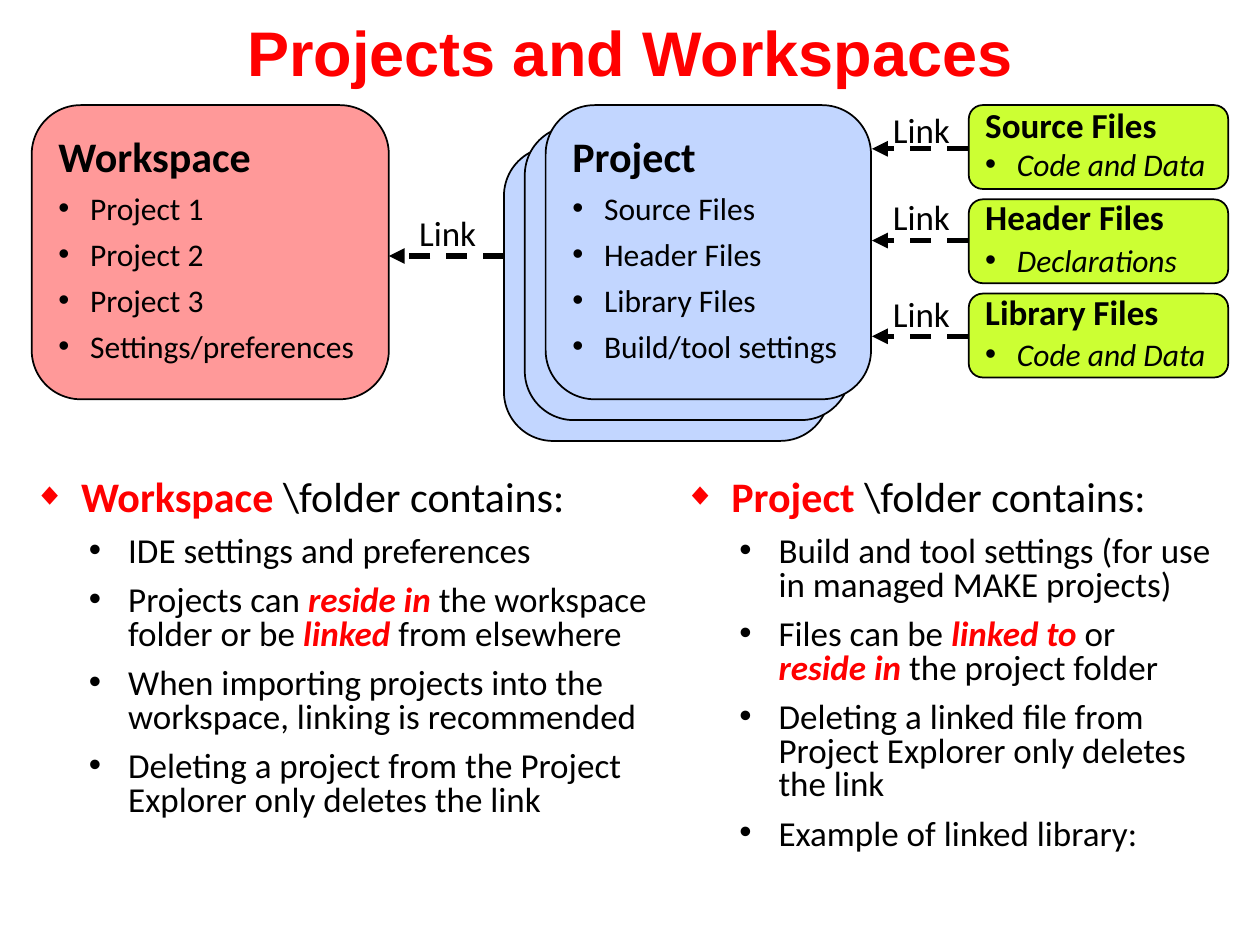
"""Build the slide on how projects and workspaces link to their files."""
from dataclasses import dataclass

from lxml.etree import SubElement
from pptx import Presentation
from pptx.dml.color import RGBColor
from pptx.enum.dml import MSO_LINE
from pptx.enum.shapes import MSO_CONNECTOR, MSO_SHAPE
from pptx.enum.text import MSO_ANCHOR, MSO_AUTO_SIZE, PP_ALIGN
from pptx.oxml.ns import qn
from pptx.util import Cm, Pt


@dataclass(frozen=True)
class Theme:
    accent: str = "FF0000"
    ink: str = "000000"
    workspace: str = "FF9999"
    project: str = "C2D6FF"
    files: str = "CCFF33"
    title_font: str = "Arial"
    body_font: str = "Calibri"
    title: int = 36
    heading: int = 24
    body: int = 20
    item: int = 18


theme = Theme()


def write(frame, text, *, size, font=theme.body_font, colour=theme.ink, bold=False,
          italic=False, strong_italic=False, bullet=None, bullet_colour=theme.ink,
          bullet_scale=100, margin=0.0, hanging=0.0, before=0, spacing=0.8,
          align=PP_ALIGN.LEFT):
    """Add a paragraph, with the parts between asterisks in the accent colour."""
    first = not frame.paragraphs[0].runs
    paragraph = frame.paragraphs[0] if first else frame.add_paragraph()
    properties = paragraph._p.get_or_add_pPr()
    properties.set("marL", str(Cm(margin)))
    properties.set("indent", str(-Cm(hanging)))
    if bullet:
        tint = SubElement(properties, qn("a:buClr"))
        SubElement(tint, qn("a:srgbClr"), val=bullet_colour)
        SubElement(properties, qn("a:buSzPct"), val=str(bullet_scale * 1000))
        SubElement(properties, qn("a:buFont"), typeface="Arial")
        SubElement(properties, qn("a:buChar"), char=bullet)
    else:
        SubElement(properties, qn("a:buNone"))
    paragraph.alignment = align
    paragraph.line_spacing = spacing
    paragraph.space_before = Pt(0 if first else before)
    for part, words in enumerate(text.split("*")):
        strong = part % 2 == 1
        for row, line in enumerate(words.split("\n")):
            if row:
                paragraph.add_line_break()
            if not line:
                continue
            run = paragraph.add_run()
            run.text = line
            run.font.name = font
            run.font.size = Pt(size)
            run.font.bold = bold or strong
            run.font.italic = italic or (strong and strong_italic)
            run.font.color.rgb = RGBColor.from_string(theme.accent if strong else colour)


presentation = Presentation()
presentation.slide_width, presentation.slide_height = Cm(25.4), Cm(19.05)
slide = presentation.slides.add_slide(presentation.slide_layouts[3])
title, workspace_list, project_list = slide.placeholders

title.left, title.top, title.width, title.height = Cm(0), Cm(0), Cm(25.4), Cm(2.06)
title.text_frame.auto_size = MSO_AUTO_SIZE.NONE
write(title.text_frame, "Projects and Workspaces", size=theme.title, font=theme.title_font,
      colour=theme.accent, bold=True, spacing=1.0, align=PP_ALIGN.CENTER)

lists = [
    (workspace_list, 0.43, 13.23, 7.14, "*Workspace* \\folder contains:", [
        "IDE settings and preferences",
        "Projects can *reside in* the workspace folder or be *linked* from elsewhere",
        "When importing projects into the workspace, linking is recommended",
        "Deleting a project from the Project Explorer only deletes the link",
    ]),
    (project_list, 13.54, 11.43, 7.82, "*Project* \\folder contains:", [
        "Build and tool settings (for use\nin managed MAKE projects)",
        "Files can be *linked to* or \n*reside in* the project folder",
        "Deleting a linked file from Project Explorer only deletes the link",
        "Example of linked library:",
    ]),
]
for placeholder, left, width, height, heading, items in lists:
    placeholder.left, placeholder.top = Cm(left), Cm(9.53)
    placeholder.width, placeholder.height = Cm(width), Cm(height)
    frame = placeholder.text_frame
    frame.auto_size = MSO_AUTO_SIZE.NONE
    frame.vertical_anchor = MSO_ANCHOR.MIDDLE
    write(frame, heading, size=theme.heading, bullet="◆", bullet_colour=theme.accent,
          bullet_scale=75, margin=0.95, hanging=0.95)
    for item in items:
        write(frame, item, size=theme.body, strong_italic=True, bullet="•",
              margin=1.9, hanging=0.79, before=9)

card_top, card_height, stack_step, file_step = 2.12, 5.93, 0.42, 1.9
cards = [(0.64, card_top, 7.2, card_height, theme.workspace, "Workspace",
          ["Project 1", "Project 2", "Project 3", "Settings/preferences"], 9)]
for depth in (2, 1):
    cards.append((11 - depth * stack_step, card_top + depth * stack_step, 6.56, card_height,
                  theme.project, "", [], 0))
cards.append((11, card_top, 6.56, card_height, theme.project, "Project",
              ["Source Files", "Header Files", "Library Files", "Build/tool settings"], 9))
file_kinds = [("Source Files", "Code and Data", 4), ("Header Files", "Declarations", 6),
              ("Library Files", "Code and Data", 6)]
for row, (heading, content, before) in enumerate(file_kinds):
    cards.append((19.53, card_top + row * file_step, 5.23, 1.69, theme.files, heading,
                  [content], before))

for left, top, width, height, fill, heading, items, before in cards:
    card = slide.shapes.add_shape(MSO_SHAPE.ROUNDED_RECTANGLE, Cm(left), Cm(top),
                                  Cm(width), Cm(height))
    card.shadow.inherit = False
    card.fill.solid()
    card.fill.fore_color.rgb = RGBColor.from_string(fill)
    card.line.color.rgb = RGBColor.from_string(theme.ink)
    card.line.width = Pt(1)
    if not heading:
        continue
    is_file = fill == theme.files
    frame = card.text_frame
    frame.word_wrap = True
    frame.vertical_anchor = MSO_ANCHOR.MIDDLE
    write(frame, heading, size=theme.body if is_file else theme.heading, bold=True)
    for item in items:
        write(frame, item, size=theme.item, italic=is_file, bullet="•",
              margin=0.64, hanging=0.64, before=before)

links = [(8.2, 4.29, 10.16, 7.84, 5.16), (17.75, 2.21, 19.51, 17.58, 3.0),
         (17.75, 3.96, 19.51, 17.58, 4.85), (17.75, 5.92, 19.51, 17.58, 6.78)]
for label_left, label_top, start, end, height in links:
    label = slide.shapes.add_textbox(Cm(label_left), Cm(label_top), Cm(1.68), Cm(0.97))
    label.text_frame.word_wrap = False
    label.text_frame.vertical_anchor = MSO_ANCHOR.MIDDLE
    write(label.text_frame, "Link", size=theme.body)
    arrow = slide.shapes.add_connector(MSO_CONNECTOR.STRAIGHT, Cm(start), Cm(height),
                                       Cm(end), Cm(height))
    arrow.line.color.rgb = RGBColor.from_string(theme.ink)
    arrow.line.width = Pt(3)
    arrow.line.dash_style = MSO_LINE.DASH
    shape_properties = arrow.element.spPr
    SubElement(shape_properties.find(qn("a:ln")), qn("a:tailEnd"), type="triangle")
    SubElement(shape_properties, qn("a:effectLst"))

presentation.save("out.pptx")
